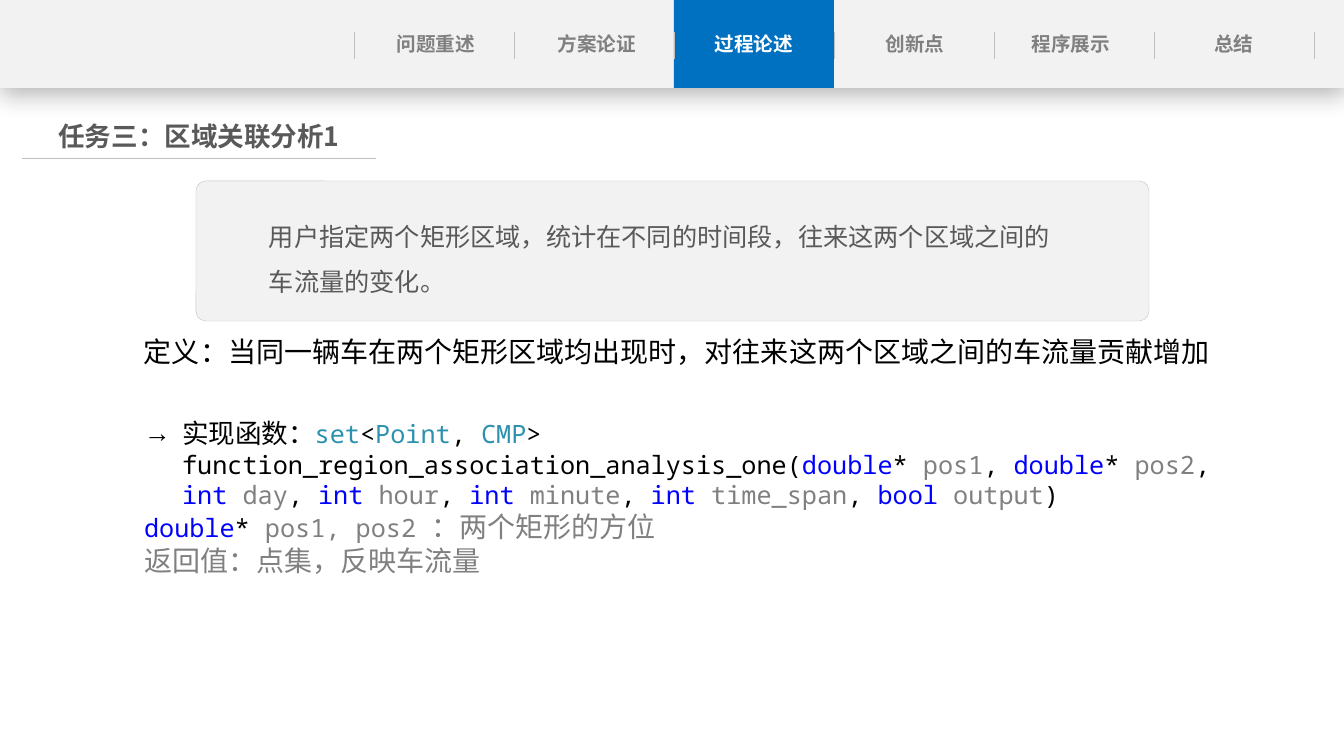
from dataclasses import dataclass

from lxml.etree import SubElement
from pptx import Presentation
from pptx.dml.color import RGBColor
from pptx.enum.shapes import MSO_CONNECTOR as Connector, MSO_SHAPE as Shape
from pptx.enum.text import MSO_ANCHOR as Anchor, MSO_AUTO_SIZE as AutoSize, PP_ALIGN as Align
from pptx.oxml.ns import qn
from pptx.util import Pt

# Content: navigation labels with the px centre of each
TABS = [("问题重述", 436), ("方案论证", 597), ("过程论述", 754),
        ("创新点", 915), ("程序展示", 1071), ("总结", 1234)]
ACTIVE_TAB = 2
TITLE = "任务三：区域关联分析1"
TASK = "用户指定两个矩形区域，统计在不同的时间段，往来这两个区域之间的车流量的变化。"
DEFINITION = "定义：当同一辆车在两个矩形区域均出现时，对往来这两个区域之间的车流量贡献增加"
RETURN_TYPE = [("set", "type"), ("<", "ink"), ("Point", "type"), (", ", "ink"), ("CMP", "type")]
FUNCTION = "> function_region_association_analysis_one("
PARAMETERS = [("double", "* ", "pos1"), ("double", "* ", "pos2"), ("int ", "", "day"),
              ("int ", "", "hour"), ("int ", "", "minute"), ("int ", "", "time_span"),
              ("bool ", "", "output")]
POINTER_NOTE = [("double", "keyword"), ("* ", "ink"), ("pos1, pos2 ", "gray")]
POINTER_MEANING = "：两个矩形的方位"
RETURN_NOTE = "返回值：点集，反映车流量"


@dataclass(frozen=True)
class Theme:
    sans: str = "Noto Sans CJK SC"
    mono: str = "Noto Sans Mono"
    panel: str = "F2F2F2"
    accent: str = "0070C0"
    rule: str = "BFBFBF"
    white: str = "FFFFFF"
    ink: str = "000000"
    text: str = "595959"
    gray: str = "808080"
    type: str = "2B91AF"
    keyword: str = "0000FF"
    tab_size: int = 14
    code_size: int = 18
    title_size: int = 19
    body_size: int = 20


THEME = Theme()
EMU_PER_PX = 12192000 / 1344
BAR_HEIGHT = 88
TAB_LEFT, TAB_WIDTH = 354, 160
LABEL_WIDTH = 148


def px(*lengths):
    return [round(length * EMU_PER_PX) for length in lengths]


def color(role):
    return RGBColor.from_string(getattr(THEME, role))


def add_panel(page, kind, place, fill, line=None):
    panel = page.shapes.add_shape(kind, *px(*place))
    panel.shadow.inherit = False
    panel.fill.solid()
    panel.fill.fore_color.rgb = color(fill)
    if line:
        panel.line.color.rgb = color(line)
        panel.line.width = Pt(0.25)
    else:
        panel.line.fill.background()
    return panel


def add_rule(page, *ends):
    rule = page.shapes.add_connector(Connector.STRAIGHT, *px(*ends))
    rule.line.color.rgb = color("rule")
    rule.line.width = Pt(0.5)
    SubElement(rule._element.spPr, qn("a:effectLst"))


def set_frame(box, place, side=10):
    """Place a text shape and give its frame plain top-anchored wrapping."""
    box.left, box.top, box.width, box.height = px(*place)
    frame = box.text_frame
    frame.word_wrap = True
    frame.auto_size = AutoSize.NONE
    frame.vertical_anchor = Anchor.TOP
    frame.margin_left, frame.margin_right = px(side, side)
    frame.margin_top, frame.margin_bottom = px(5, 5)
    return frame


def add_text_box(page, place, side=10):
    return set_frame(page.shapes.add_textbox(0, 0, 0, 0), place, side)


def add_span(para, text, role, size, font=THEME.sans, bold=False):
    span = para.add_run()
    span.text = text
    span.font.size = Pt(size)
    span.font.bold = bold
    span.font.color.rgb = color(role)
    span.font.name = font
    SubElement(span._r.get_or_add_rPr(), qn("a:ea"), typeface=font)


def add_code(para, spans):
    for text, role in spans:
        add_span(para, text, role, THEME.code_size, THEME.mono)


def set_bullet(para, char=None, indent=0):
    props = para._p.get_or_add_pPr()
    hang = px(indent)[0]
    props.set("marL", str(hang))
    props.set("indent", str(-hang))
    para.space_before = Pt(0)
    if char:
        SubElement(props, qn("a:buChar"), char=char)
    else:
        SubElement(props, qn("a:buNone"))


def add_bar_shadow(bar):
    effects = bar._element.spPr.find(qn("a:effectLst"))
    shadow = SubElement(effects, qn("a:outerShdw"), blurRad=str(Pt(18)), dist=str(Pt(4)),
                        dir="5400000", algn="t", rotWithShape="0")
    tone = SubElement(shadow, qn("a:srgbClr"), val=THEME.ink)
    SubElement(tone, qn("a:alpha"), val="29000")


def add_navigation(page):
    add_bar_shadow(add_panel(page, Shape.RECTANGLE, (0, 0, 1344, BAR_HEIGHT), "panel"))
    active_left = TAB_LEFT + ACTIVE_TAB * TAB_WIDTH
    add_panel(page, Shape.RECTANGLE, (active_left, 0, TAB_WIDTH, BAR_HEIGHT), "accent")
    for index, (label, centre) in enumerate(TABS):
        frame = add_text_box(page, (centre - LABEL_WIDTH // 2, 27, LABEL_WIDTH, 34), 0)
        para = frame.paragraphs[0]
        para.alignment = Align.CENTER
        role = "white" if index == ACTIVE_TAB else "gray"
        add_span(para, label, role, THEME.tab_size, bold=True)
    for index in range(len(TABS) + 1):
        x = TAB_LEFT + index * TAB_WIDTH
        add_rule(page, x, 32, x, 59)


def add_title(page):
    para = set_frame(page.shapes.title, (28, 115, 342, 43), 0).paragraphs[0]
    para.alignment = Align.CENTER
    add_span(para, TITLE, "text", THEME.title_size, bold=True)
    add_rule(page, 22, 158, 376, 158)


def add_task(page):
    card = add_panel(page, Shape.ROUNDED_RECTANGLE, (196, 181, 953, 140), "panel", "rule")
    card.adjustments[0] = 0.07
    para = add_text_box(page, (259, 201, 822, 97)).paragraphs[0]
    para.line_spacing = 1.5
    add_span(para, TASK, "text", THEME.code_size)


def add_function(page):
    frame = set_frame(page.placeholders[1], (134, 412, 1118, 171))
    signature, pointers, result = frame.paragraphs[0], frame.add_paragraph(), frame.add_paragraph()
    set_bullet(signature, "→", 38)
    set_bullet(pointers)
    set_bullet(result)

    add_span(signature, "实现函数", "ink", THEME.title_size)
    add_span(signature, "：", "ink", THEME.title_size, THEME.mono)
    add_code(signature, RETURN_TYPE + [(FUNCTION, "ink")])
    for index, (kind, star, name) in enumerate(PARAMETERS):
        spans = [(", " if index else "", "ink"), (kind, "keyword"), (star, "ink"), (name, "gray")]
        add_code(signature, [span for span in spans if span[0]])
    add_code(signature, [(")", "ink")])

    add_code(pointers, POINTER_NOTE)
    add_span(pointers, POINTER_MEANING, "gray", THEME.body_size, THEME.mono)
    add_span(result, RETURN_NOTE, "gray", THEME.body_size, THEME.mono)


def main():
    deck = Presentation()
    deck.slide_width, deck.slide_height = px(1344, 756)
    page = deck.slides.add_slide(deck.slide_layouts[1])
    add_navigation(page)
    add_title(page)
    add_task(page)
    add_function(page)
    definition = add_text_box(page, (134, 329, 1118, 78)).paragraphs[0]
    add_span(definition, DEFINITION, "ink", THEME.body_size)
    deck.save("out.pptx")


if __name__ == "__main__":
    main()
